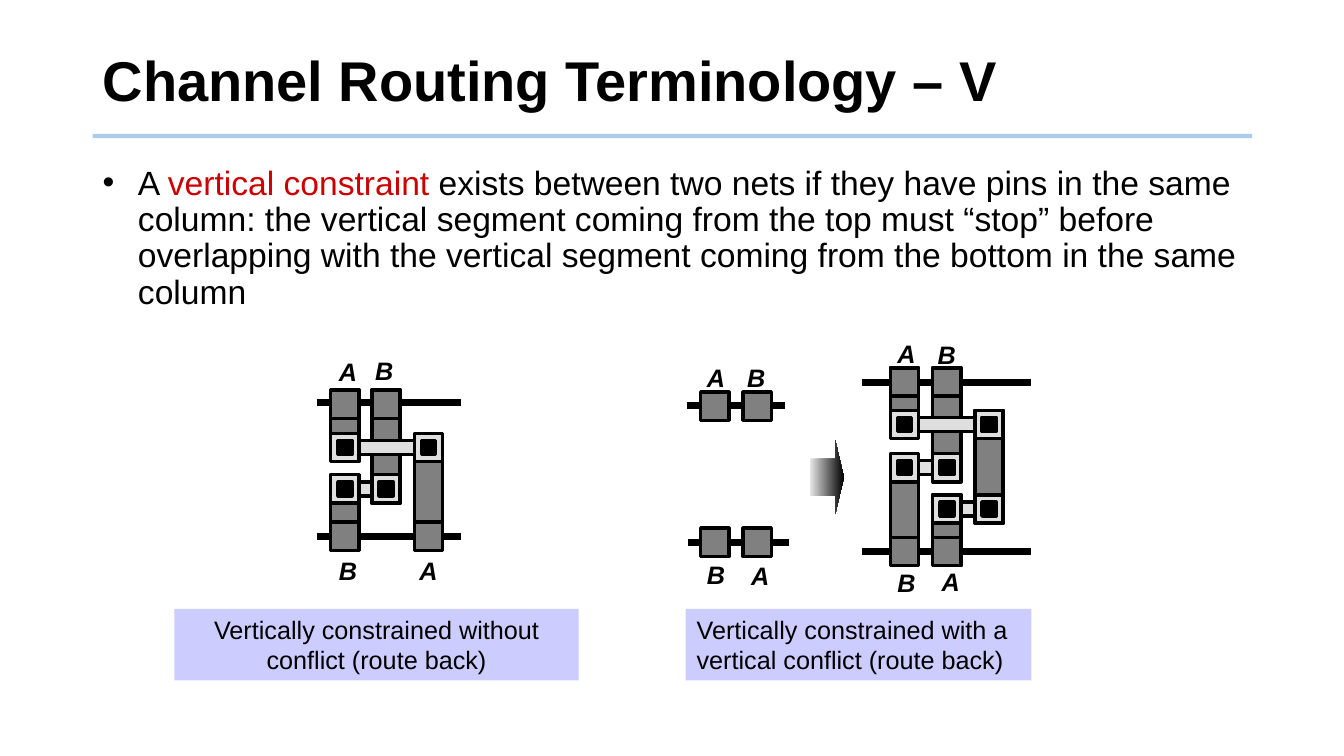
import pptx
import pptx.util
import pptx.dml.color
import pptx.enum.shapes
import pptx.enum.text
import pptx.oxml
import pptx.oxml.ns
from dataclasses import dataclass
from lxml import etree

PX = 9144
RGB = pptx.dml.color.RGBColor.from_string
SHAPE = pptx.enum.shapes.MSO_SHAPE
ALIGN = pptx.enum.text.PP_ALIGN
ANCHOR = pptx.enum.text.MSO_ANCHOR
FIT = pptx.enum.text.MSO_AUTO_SIZE
qn = pptx.oxml.ns.qn


@dataclass(frozen=True)
class Theme:
    font: str = "Arial"
    ink: str = "000000"
    accent: str = "CC0000"
    rule: str = "5B9BD5"
    caption: str = "CCCCFF"
    wire: str = "808080"
    metal: str = "DFDFDF"
    fade: str = "EAEAEA"
    title_size: int = 40
    body_size: int = 24
    label_size: int = 18
    rule_width: float = 3
    rail_width: float = 5
    outline: float = 2.5


theme = Theme()


def add_line(shapes, x1, y1, x2, y2, color, width):
    ln = shapes.add_connector(
        pptx.enum.shapes.MSO_CONNECTOR.STRAIGHT, x1 * PX, y1 * PX, x2 * PX, y2 * PX
    )
    ln.line.color.rgb = RGB(color)
    ln.line.width = pptx.util.Pt(width)
    etree.SubElement(ln._element.spPr, qn("a:effectLst"))
    return ln


def write(sp, runs, size, bold=False, italic=False, wrap=True, inset=10):
    tf = sp.text_frame
    tf.word_wrap = wrap
    tf.margin_left = tf.margin_right = inset * PX
    tf.margin_top = tf.margin_bottom = 5 * PX
    p = tf.paragraphs[0]
    p.alignment = ALIGN.LEFT
    for text, color in runs:
        r = p.add_run()
        r.text = text
        r.font.name = theme.font
        r.font.size = pptx.util.Pt(size)
        r.font.bold = bold
        r.font.italic = italic
        r.font.color.rgb = RGB(color)
    return tf, p


prs = pptx.Presentation()
prs.slide_width, prs.slide_height = 1333 * PX, 750 * PX
s = prs.slides.add_slide(prs.slide_layouts[6])

rule = add_line(s.shapes, 92, 135, 1242, 135, theme.rule, theme.rule_width)
rule_color = rule._element.spPr.find(".//" + qn("a:srgbClr"))
etree.SubElement(rule_color, qn("a:alpha")).set("val", "50000")

sp = s.shapes.add_textbox(92 * PX, 28 * PX, 1150 * PX, 110 * PX)
tf, p = write(sp, [("Channel Routing Terminology – V", theme.ink)], theme.title_size, bold=True)
tf.vertical_anchor = ANCHOR.MIDDLE
p.line_spacing = 0.9

sp = s.shapes.add_textbox(92 * PX, 160 * PX, 1150 * PX, 515 * PX)
definition = [
    ("A ", theme.ink),
    ("vertical constraint", theme.accent),
    (
        " exists between two nets if they have pins in the same column: "
        "the vertical segment coming from the top must “stop” before overlapping "
        "with the vertical segment coming from the bottom in the same column",
        theme.ink,
    ),
]
tf, p = write(sp, definition, theme.body_size)
p.line_spacing = 0.9
pPr = p._p.get_or_add_pPr()
pPr.set("marL", str(35 * PX))
pPr.set("indent", str(-35 * PX))
etree.SubElement(pPr, qn("a:buFont")).set("typeface", theme.font)
etree.SubElement(pPr, qn("a:buChar")).set("char", "•")

captions = [
    (173, 401, "Vertically constrained without conflict (route back)", ALIGN.CENTER),
    (680, 343, "Vertically constrained with a vertical conflict (route back)", ALIGN.LEFT),
]
for x, w, text, align in captions:
    sp = s.shapes.add_shape(SHAPE.RECTANGLE, x * PX, 604 * PX, w * PX, 71 * PX)
    sp.shadow.inherit = False
    sp.fill.solid()
    sp.fill.fore_color.rgb = RGB(theme.caption)
    sp.line.fill.background()
    tf, p = write(sp, [(text, theme.ink)], theme.label_size, inset=11)
    tf.vertical_anchor = ANCHOR.TOP
    p.alignment = align

PAD, CORE, GAP = 28, 14, 7
channels = [
    dict(
        rails=[(314, 457, 399), (314, 457, 532)],
        wires=[(369, 387, 499), (411, 430, 546), (328, 471, 546), (328, 387, 457)],
        pins=[(328, 387), (369, 387), (328, 518), (411, 518)],
        tracks=[(328, 411, 430), (328, 369, 471)],
        labels=[("A", 325, 349), ("B", 361, 348), ("B", 325, 546), ("A", 405, 546)],
    ),
    dict(
        rails=[(681, 779, 402), (682, 783, 538)],
        wires=[],
        pins=[(695, 389), (737, 389), (695, 524), (737, 524)],
        tracks=[],
        labels=[("A", 690, 354), ("B", 730, 354), ("B", 690, 550), ("A", 734, 551)],
    ),
    dict(
        rails=[(855, 1023, 379), (855, 1023, 547)],
        wires=[(883, 450, 561), (925, 365, 478), (883, 365, 435), (925, 491, 561), (967, 407, 519)],
        pins=[(883, 365), (925, 365), (883, 533), (925, 533)],
        tracks=[(883, 967, 407), (883, 925, 450), (925, 967, 491)],
        labels=[("A", 879, 331), ("B", 919, 332), ("B", 879, 558), ("A", 923, 557)],
    ),
]
for channel in channels:
    group = s.shapes.add_group_shape().shapes
    for x1, x2, y in channel["rails"]:
        add_line(group, x1, y, x2, y, theme.ink, theme.rail_width)

    boxes = [(x, top, PAD, bottom - top, theme.wire) for x, top, bottom in channel["wires"]]
    boxes += [(x, y, PAD, PAD, theme.wire) for x, y in channel["pins"]]
    for x1, x2, y in channel["tracks"]:
        boxes.append((x1 + PAD, y + GAP, x2 - x1 - PAD, CORE, theme.metal))
        for x in (x1, x2):
            boxes.append((x, y, PAD, PAD, theme.metal))
            boxes.append((x + GAP, y + GAP, CORE, CORE, theme.ink))
    for x, y, w, h, color in boxes:
        sp = group.add_shape(SHAPE.RECTANGLE, x * PX, y * PX, w * PX, h * PX)
        sp.shadow.inherit = False
        sp.fill.solid()
        sp.fill.fore_color.rgb = RGB(color)
        sp.line.color.rgb = RGB(theme.ink)
        sp.line.width = pptx.util.Pt(theme.outline)

    for net, x, y in channel["labels"]:
        sp = group.add_textbox(x * PX, y * PX, 38 * PX, 39 * PX)
        tf, p = write(
            sp, [(net, theme.ink)], theme.label_size, bold=True, italic=True, wrap=False, inset=11
        )
        tf.auto_size = FIT.SHAPE_TO_FIT_TEXT

arrow = s.shapes.add_shape(SHAPE.RIGHT_ARROW, 803 * PX, 437 * PX, 34 * PX, 73 * PX)
arrow.shadow.inherit = False
arrow.adjustments[0] = 0.5
arrow.adjustments[1] = 0.25
arrow.line.fill.background()
arrow.fill.gradient()
arrow.fill.gradient_angle = 0
for stop, position, color in zip(arrow.fill.gradient_stops, (0, 1), (theme.fade, theme.ink)):
    stop.position = position
    stop.color.rgb = RGB(color)

prs.save("out.pptx")
